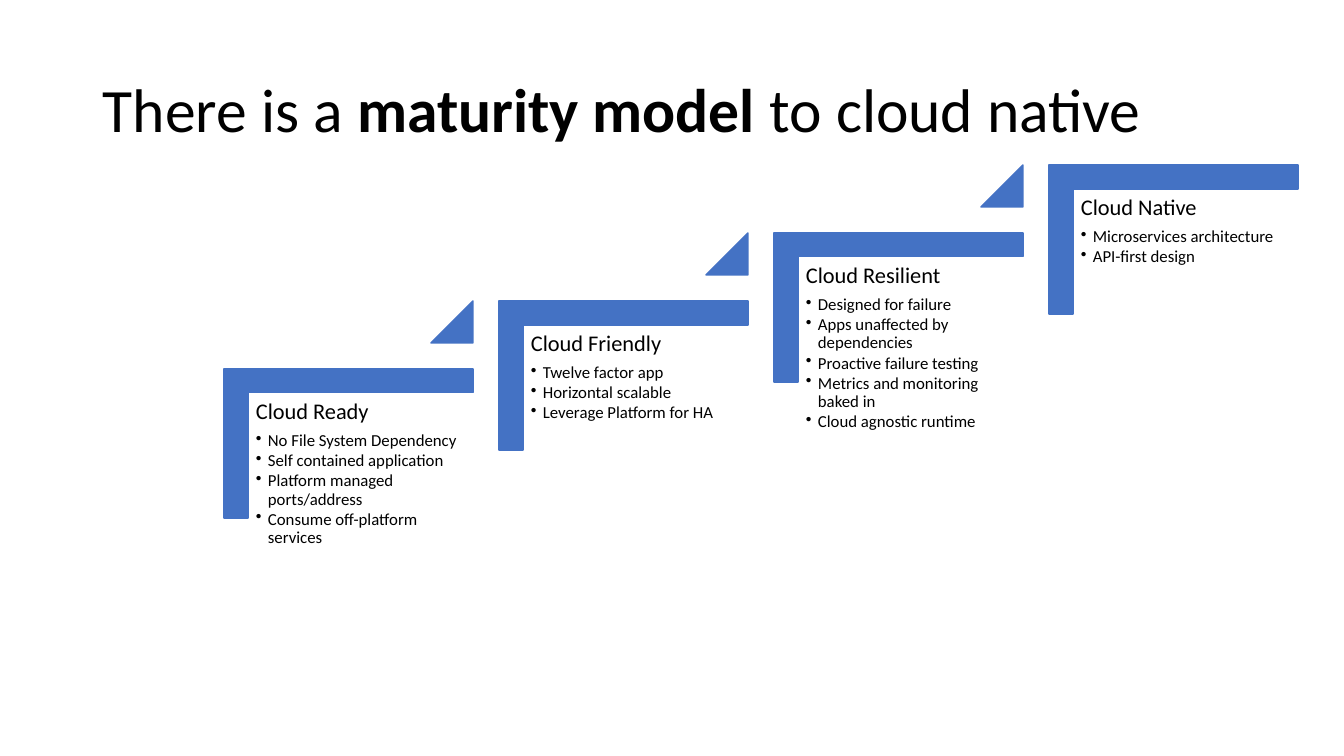
from lxml import etree
from pptx import Presentation
from pptx import util as u
from pptx.dml.color import RGBColor
from pptx.enum import shapes, text
from pptx.oxml.ns import qn

EMU = 914400 / 100.8  # one px


class Theme:
    font = "Calibri"
    ink = RGBColor(0, 0, 0)
    blue = RGBColor(0x44, 0x72, 0xC4)
    title, head, item = u.Pt(44), u.Pt(16), u.Pt(12)
    edge = u.Pt(1)


TITLE = [("There is a ", False), ("maturity model", True),
         (" to cloud native", False)]
STAGES = [
    ("Cloud Ready", ["No File System Dependency", "Self contained application",
                     "Platform managed ports/address",
                     "Consume off-platform services"]),
    ("Cloud Friendly", ["Twelve factor app", "Horizontal scalable",
                        "Leverage Platform for HA"]),
    ("Cloud Resilient", ["Designed for failure",
                         "Apps unaffected by dependencies",
                         "Proactive failure testing",
                         "Metrics and monitoring baked in",
                         "Cloud agnostic runtime"]),
    ("Cloud Native", ["Microservices architecture", "API-first design"]),
]


def px(*sizes):
    return [u.Emu(round(n * EMU)) for n in sizes]


def style(target, form):
    for key, value in form.items():
        setattr(target, key, value)


def write(para, words, size, bold=False):
    run = para.add_run()
    run.text = words
    style(run.font, dict(name=Theme.font, size=size, bold=bold))
    run.font.color.rgb = Theme.ink


def frame(slide, box, pad_x, pad_y, anchor):
    body = slide.shapes.add_textbox(*px(*box)).text_frame
    wide, high = px(pad_x, pad_y)
    style(body, dict(word_wrap=True, vertical_anchor=anchor,
                     margin_left=wide, margin_right=wide,
                     margin_top=high, margin_bottom=high))
    return body


def mark(slide, kind, box, shift):
    shape = slide.shapes.add_shape(kind, *px(*box))
    shape.shadow.inherit = False
    shape.fill.solid()
    shape.fill.fore_color.rgb = Theme.blue
    shape.line.color.rgb = Theme.blue
    shape.line.width = Theme.edge
    for i, value in enumerate(shift):
        shape.adjustments[i] = value
    return shape


def bullet(para):
    indent = px(12)[0]
    props = para._p.get_or_add_pPr()
    props.set("marL", str(indent))
    props.set("indent", str(-indent))
    etree.SubElement(props, qn("a:buChar")).set("char", "•")


def heading(slide, box):
    para = frame(slide, box, 10, 5, text.MSO_ANCHOR.MIDDLE).paragraphs[0]
    para.line_spacing = 0.9
    for words, bold in TITLE:
        write(para, words, Theme.title, bold)


def stage(slide, box, name, items, last):
    x, y, w, h = box
    # Corner bracket: upright shape turned about the centre of the box
    turn = (w - h) // 2
    bracket = mark(slide, shapes.MSO_SHAPE.CORNER,
                   (x + turn, y - turn, h, w), (0.16, 0.16))
    bracket.rotation = 90

    # Name and bullets
    body = frame(slide, (x + 25, y + 24, 225, 197), 7, 7, text.MSO_ANCHOR.TOP)
    para = body.paragraphs[0]
    style(para, dict(line_spacing=0.9, space_after=u.Pt(5.6)))
    write(para, name, Theme.head)
    for item in items:
        para = body.add_paragraph()
        style(para, dict(level=1, line_spacing=0.9, space_after=u.Pt(1.5)))
        bullet(para)
        write(para, item, Theme.item)

    # Triangle leading up to the next stage
    if not last:
        mark(slide, shapes.MSO_SHAPE.ISOSCELES_TRIANGLE,
             (x + w - 42, y - 68, 42, 42), (1,))


def stairs(slide, box):
    x, y, w, h = box
    for i, (name, items) in enumerate(STAGES):
        stage(slide, (x + 275 * i, y - 68 * i, w, h), name, items,
              i == len(STAGES) - 1)


def main():
    deck = Presentation()
    wide, high = px(1344, 756)
    style(deck, dict(slide_width=wide, slide_height=high))
    slide = deck.slides.add_slide(deck.slide_layouts[6])
    heading(slide, (93, 40, 1159, 146))
    stairs(slide, (224, 369, 249, 149))
    deck.save("out.pptx")


if __name__ == "__main__":
    main()
